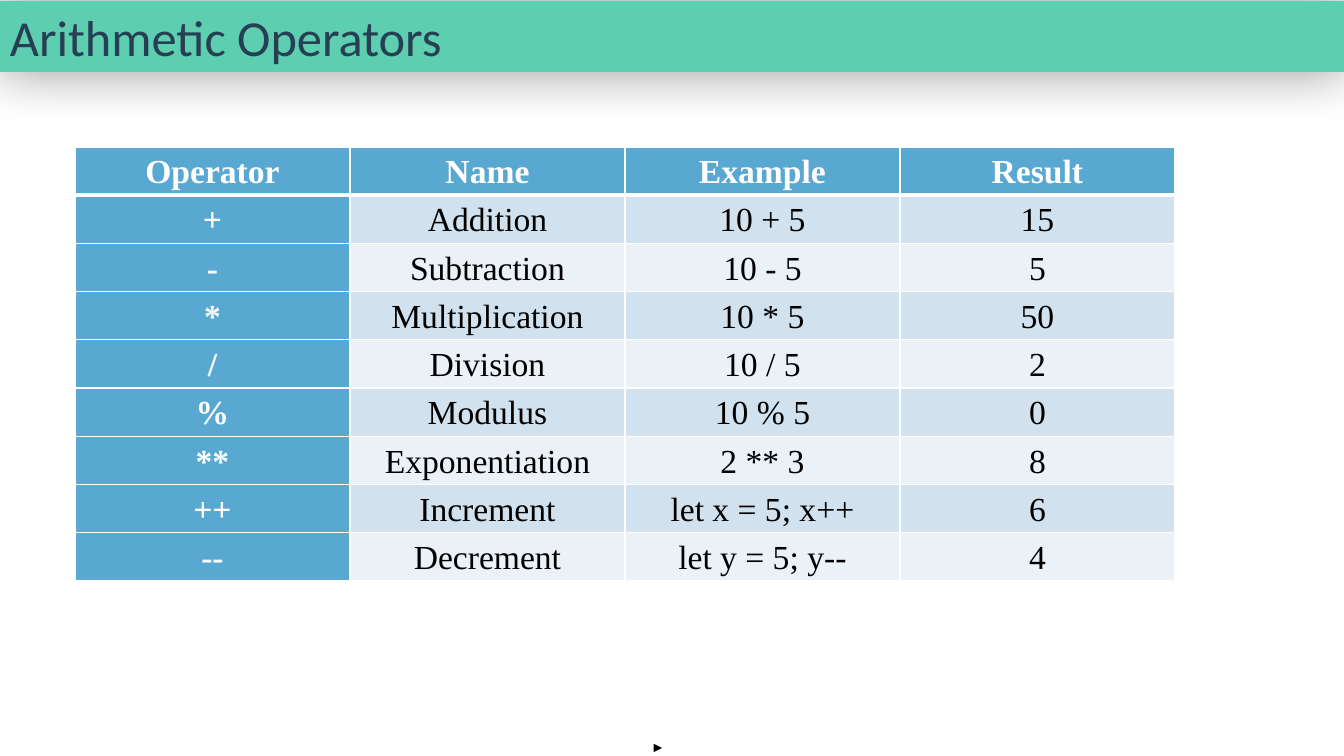
from dataclasses import dataclass

from lxml import etree
from pptx import Presentation, util as u
from pptx.dml.color import RGBColor
from pptx.enum import shapes, text
from pptx.oxml.ns import qn

PX_PER_INCH = 100.8


def px(n):
    return u.Emu(round(n * u.Inches(1) / PX_PER_INCH))


@dataclass(frozen=True)
class Theme:
    banner: str = "5DCEAF"
    title: str = "273F52"
    header: str = "59A8D1"
    bands: tuple = ("D1E1EE", "EAF1F7")
    light: str = "FFFFFF"
    dark: str = "000000"
    title_font: str = "Calibri"
    table_font: str = "Times New Roman"
    title_size: int = 36
    table_size: int = 24
    grid_line: int = 1
    header_rule: int = 3
    arrow_line: float = 1.5


def add_color(parent, color):
    return etree.SubElement(parent, qn("a:srgbClr"), val=color)


class SlideBuilder:
    def __init__(self, slide, theme):
        self.shapes = slide.shapes
        self.theme = theme

    def style(self, paragraph, font, size, color, bold=False):
        paragraph.font.name = font
        paragraph.font.size = u.Pt(size)
        paragraph.font.bold = bold
        paragraph.font.color.rgb = RGBColor.from_string(color)

    def banner(self, title, left, top, width, height):
        """Title bar with a soft shadow all around."""
        t = self.theme
        bar = self.shapes.add_shape(shapes.MSO_SHAPE.RECTANGLE,
                                    px(left), px(top), px(width), px(height))
        bar.fill.solid()
        bar.fill.fore_color.rgb = RGBColor.from_string(t.banner)
        bar.line.fill.background()
        bar.shadow.inherit = False
        effects = bar.element.spPr.find(qn("a:effectLst"))
        shadow = etree.SubElement(effects, qn("a:outerShdw"), blurRad=str(u.Pt(39)),
                                  dist="0", dir="0", algn="ctr", rotWithShape="0")
        etree.SubElement(add_color(shadow, t.dark), qn("a:alpha"), val="40000")
        frame = bar.text_frame
        frame.word_wrap = True
        frame.auto_size = text.MSO_AUTO_SIZE.SHAPE_TO_FIT_TEXT
        frame.vertical_anchor = text.MSO_ANCHOR.TOP
        frame.text = title
        heading = frame.paragraphs[0]
        heading.alignment = text.PP_ALIGN.LEFT
        self.style(heading, t.title_font, t.title_size, t.title)

    def arrow(self, x1, y1, x2, y2):
        line = self.shapes.add_connector(shapes.MSO_CONNECTOR.STRAIGHT,
                                         px(x1), px(y1), px(x2), px(y2))
        line.line.color.rgb = RGBColor.from_string(self.theme.dark)
        line.line.width = u.Pt(self.theme.arrow_line)
        etree.SubElement(line.line._get_or_add_ln(), qn("a:tailEnd"), type="triangle")
        etree.SubElement(line.element.spPr, qn("a:effectLst"))

    def borders(self, cell, top, bottom):
        t = self.theme
        widths = {"L": t.grid_line, "R": t.grid_line, "T": top, "B": bottom}
        for side, points in widths.items():
            line = etree.SubElement(cell._tc.get_or_add_tcPr(), qn(f"a:ln{side}"),
                                    w=str(u.Pt(points)))
            add_color(etree.SubElement(line, qn("a:solidFill")), t.light)

    def cell(self, cell, words, row, col):
        t = self.theme
        is_header = row == 0 or col == 0
        cell.text = words
        cell.vertical_anchor = text.MSO_ANCHOR.MIDDLE
        cell.margin_left = cell.margin_right = px(1)
        cell.margin_top = cell.margin_bottom = px(1)
        entry = cell.text_frame.paragraphs[0]
        entry.alignment = text.PP_ALIGN.CENTER
        entry.line_spacing = 1.07
        self.style(entry, t.table_font, t.table_size,
                   t.light if is_header else t.dark, is_header)
        self.borders(cell, t.header_rule if row == 1 else t.grid_line,
                     t.header_rule if row == 0 else t.grid_line)
        cell.fill.solid()
        fill = t.header if is_header else t.bands[(row - 1) % 2]
        cell.fill.fore_color.rgb = RGBColor.from_string(fill)

    def table(self, rows, left, top, width, height):
        table = self.shapes.add_table(len(rows), len(rows[0]), px(left), px(top),
                                      px(width), px(height)).table
        table.first_col = True
        for column in table.columns:
            column.width = px(width / len(rows[0]))
        for r, row in enumerate(rows):
            table.rows[r].height = px(height / len(rows))
            for c, words in enumerate(row):
                self.cell(table.cell(r, c), words, r, c)


OPERATORS = [
    ("Operator", "Name", "Example", "Result"),
    ("+", "Addition", "10 + 5", "15"),
    ("-", "Subtraction", "10 - 5", "5"),
    ("*", "Multiplication", "10 * 5", "50"),
    ("/", "Division", "10 / 5", "2"),
    ("%", "Modulus", "10 % 5", "0"),
    ("**", "Exponentiation", "2 ** 3", "8"),
    ("++", "Increment", "let x = 5; x++", "6"),
    ("--", "Decrement", "let y = 5; y--", "4"),
]


def main():
    deck = Presentation()
    deck.slide_width, deck.slide_height = px(1344), px(756)
    builder = SlideBuilder(deck.slides.add_slide(deck.slide_layouts[6]), Theme())
    builder.banner("Arithmetic Operators", 0, 1, 1344, 71)
    builder.arrow(655, 748, 662, 748)
    builder.table(OPERATORS, 75, 147, 1100, 434)
    deck.save("out.pptx")


if __name__ == "__main__":
    main()
